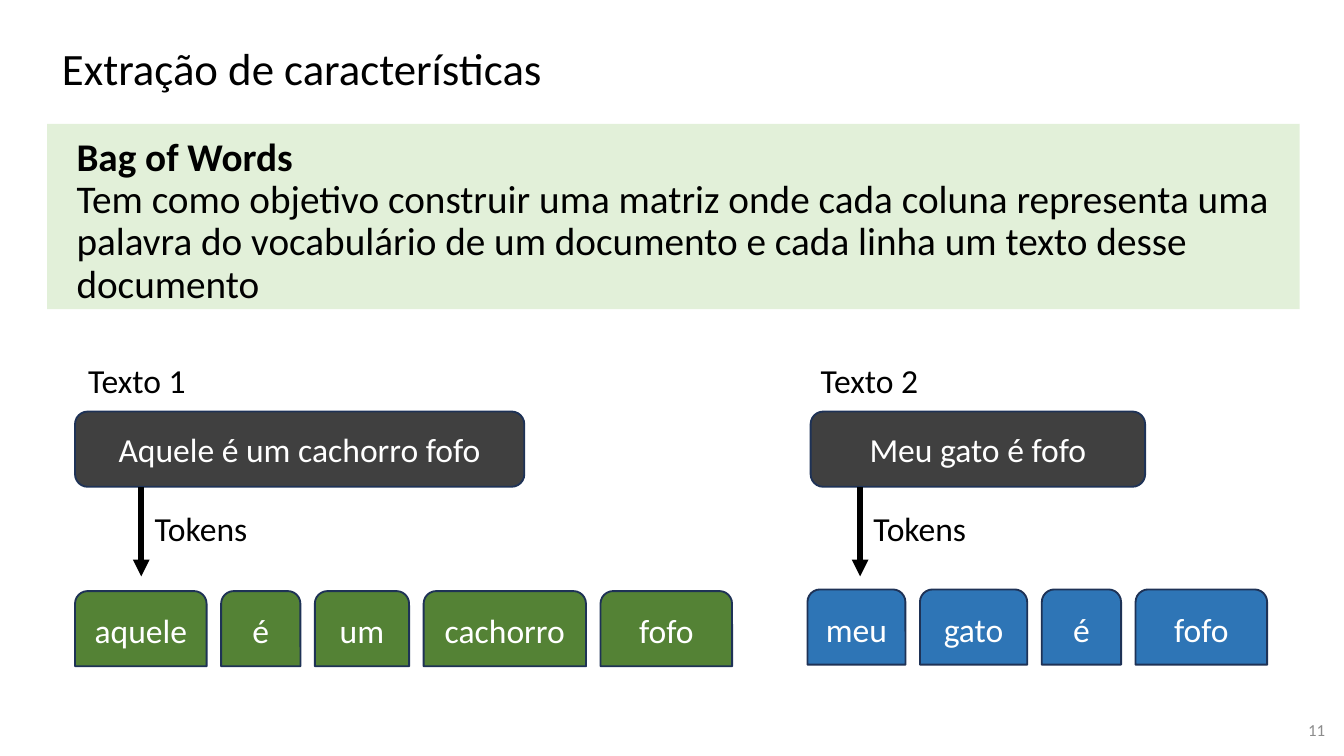
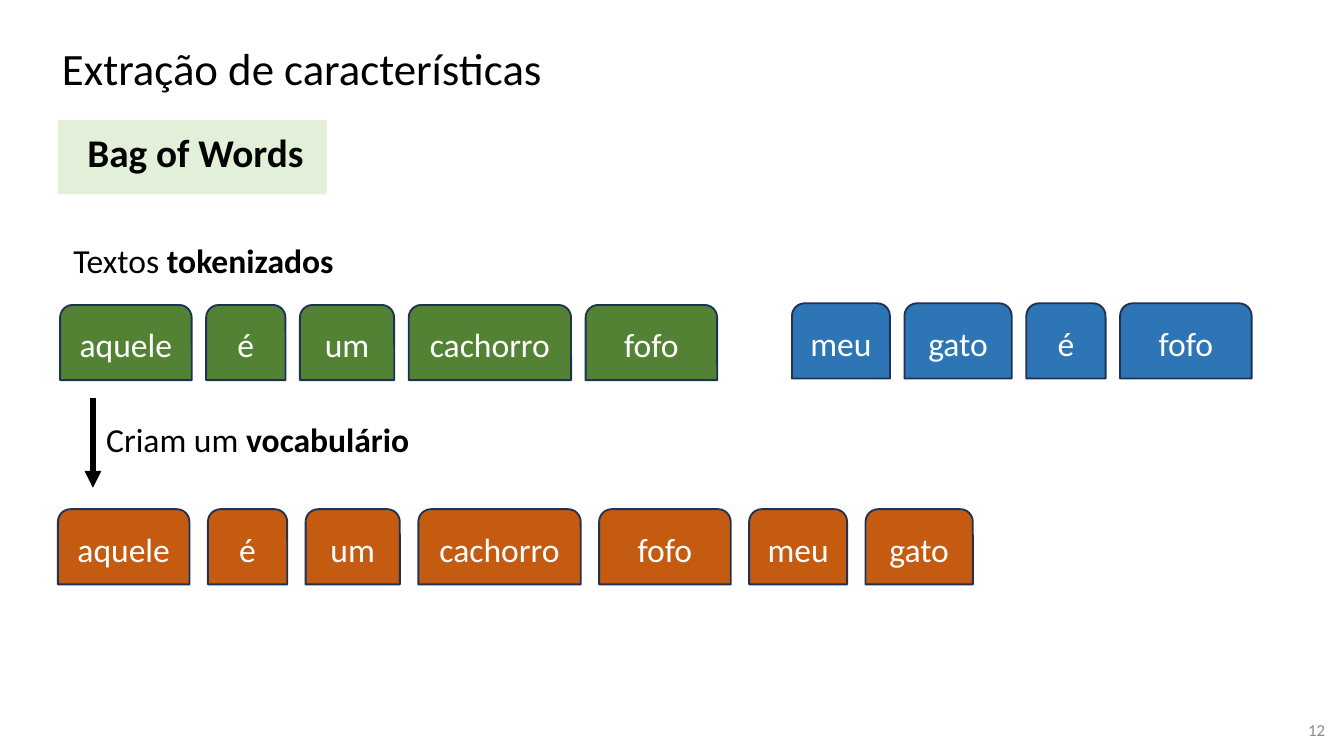
"""Builds two slides on the bag-of-words representation of tokenised texts."""
import pptx
import pptx.dml.color
import pptx.enum.shapes
import pptx.enum.text
import pptx.oxml.ns
import pptx.util
from lxml import etree

Pt = pptx.util.Pt
SHAPES = pptx.enum.shapes.MSO_SHAPE
ALIGN = pptx.enum.text.PP_ALIGN
ANCHOR = pptx.enum.text.MSO_ANCHOR
FONT = "Calibri"
COLORS = {
    "ink": "000000", "paper": "FFFFFF", "number": "8C8C8C", "band": "E2F0D9",
    "sentence": "404040", "outline": "1E3256",
    "first": "548235", "second": "2E75B6", "vocabulary": "C55A11",
}
TOKEN_WIDTHS = {
    "aquele": 70.5, "é": 42.5, "um": 50.5, "cachorro": 87,
    "fofo": 70.5, "meu": 52.5, "gato": 57.5,
}
BOX_HEIGHT = 40.3
FIRST_TOKENS = ["aquele", "é", "um", "cachorro", "fofo"]
SECOND_TOKENS = ["meu", "gato", "é", "fofo"]
HEADING = [("Bag of Words", True)]
DEFINITION = [("Tem como objetivo construir uma matriz onde cada coluna representa uma "
               "palavra do vocabulário de um documento e cada linha um texto desse "
               "documento", False)]


def rgb(name):
    return pptx.dml.color.RGBColor.from_string(COLORS[name])


def place(shape, left, top, width, height):
    shape.left, shape.top = Pt(left), Pt(top)
    shape.width, shape.height = Pt(width), Pt(height)


def set_margins(frame, margin):
    frame.margin_left = frame.margin_right = Pt(margin)
    frame.margin_top = frame.margin_bottom = Pt(margin)


def write(para, spans, size, color="ink", align=ALIGN.LEFT):
    para.alignment = align
    para.font.name = FONT
    para.font.size = Pt(size)
    para.font.color.rgb = rgb(color)
    for text, bold in spans:
        span = para.add_run()
        span.text = text
        span.font.bold = bold


def add_label(page, spans, left, top, width):
    box = page.shapes.add_textbox(Pt(left), Pt(top), Pt(width), Pt(29))
    box.text_frame.word_wrap = False
    write(box.text_frame.paragraphs[0], spans, 18)


def add_box(page, preset, text, left, top, width, fill):
    box = page.shapes.add_shape(preset, Pt(left), Pt(top), Pt(width), Pt(BOX_HEIGHT))
    box.shadow.inherit = False
    box.fill.solid()
    box.fill.fore_color.rgb = rgb(fill)
    box.line.color.rgb = rgb("outline")
    box.line.width = Pt(1)
    box.text_frame.vertical_anchor = ANCHOR.MIDDLE
    write(box.text_frame.paragraphs[0], [(text, False)], 18, "paper", ALIGN.CENTER)


def add_tokens(page, tokens, left, top, fill, gap=7.75):
    for token in tokens:
        width = TOKEN_WIDTHS[token]
        add_box(page, SHAPES.ROUND_2_SAME_RECTANGLE, token, left, top, width, fill)
        left += width + gap


def add_arrow(page, left, top):
    arrow = page.shapes.add_connector(
        pptx.enum.shapes.MSO_CONNECTOR.STRAIGHT,
        Pt(left), Pt(top), Pt(left), Pt(top + 48))
    arrow.line.color.rgb = rgb("ink")
    arrow.line.width = Pt(3)
    tail = etree.SubElement(arrow.line._get_or_add_ln(), pptx.oxml.ns.qn("a:tailEnd"))
    tail.set("type", "triangle")
    etree.SubElement(arrow._element.spPr, pptx.oxml.ns.qn("a:effectLst"))


def add_step(page, spans, left, top, width):
    add_arrow(page, left, top)
    add_label(page, spans, left, top + 7.5, width)


def fill_band(body, paragraphs, bounds):
    place(body, *bounds)
    body.fill.solid()
    body.fill.fore_color.rgb = rgb("band")
    frame = body.text_frame
    frame.auto_size = pptx.enum.text.MSO_AUTO_SIZE.NONE
    frame.vertical_anchor = ANCHOR.TOP
    set_margins(frame, 7.2)
    for index, spans in enumerate(paragraphs):
        para = frame.add_paragraph() if index else frame.paragraphs[0]
        para.line_spacing = 0.9
        para.space_before = Pt(0)
        properties = para._p.get_or_add_pPr()
        properties.set("marL", str(Pt(8.6)))
        properties.set("indent", "0")
        etree.SubElement(properties, pptx.oxml.ns.qn("a:buNone"))
        write(para, spans, 21)


def add_page(deck, number, paragraphs, band_bounds):
    page = deck.slides.add_slide(deck.slide_layouts[1])
    title = page.shapes.title
    place(title, 26, 10, 551, 56)
    title.text_frame.auto_size = pptx.enum.text.MSO_AUTO_SIZE.NONE
    title.text_frame.vertical_anchor = ANCHOR.MIDDLE
    set_margins(title.text_frame, 7.2)
    heading = title.text_frame.paragraphs[0]
    heading.line_spacing = 0.9
    write(heading, [("Extração de características", False)], 24)
    fill_band(page.placeholders[1], paragraphs, band_bounds)
    box = page.shapes.add_textbox(Pt(674), Pt(380), Pt(43), Pt(25))
    box.text_frame.word_wrap = True
    set_margins(box.text_frame, 7.2)
    write(box.text_frame.paragraphs[0], [(str(number), False)], 9, "number", ALIGN.RIGHT)
    return page


def add_text_example(page, name, sentence, label_left, box_left, width, arrow_left):
    add_label(page, [(name, False)], label_left, 189.5, 67)
    add_box(page, SHAPES.ROUNDED_RECTANGLE, sentence, box_left, 220.5, width, "sentence")
    add_step(page, [("Tokens", False)], arrow_left, 260.8, 65)


def build_tokens_page(deck):
    page = add_page(deck, 11, [HEADING, DEFINITION], (25.2, 66.4, 671, 99.2))
    add_text_example(page, "Texto 1", "Aquele é um cachorro fofo", 40.2, 40.2, 240.7, 75.7)
    add_text_example(page, "Texto 2", "Meu gato é fofo", 432.6, 434.3, 179.2, 460.8)
    add_tokens(page, FIRST_TOKENS, 40.2, 316.7, "first")
    add_tokens(page, SECOND_TOKENS, 432.6, 315.8, "second")


def build_vocabulary_page(deck):
    page = add_page(deck, 12, [HEADING], (31, 64.2, 144, 40))
    add_label(page, [("Textos ", False), ("tokenizados", True)], 32.2, 124.9, 155)
    add_tokens(page, FIRST_TOKENS, 32.2, 163.4, "first")
    add_tokens(page, SECOND_TOKENS, 424.3, 162.5, "second")
    add_step(page, [("Criam um ", False), ("vocabulário", True)], 49.8, 213.3, 181)
    vocabulary = list(dict.fromkeys(FIRST_TOKENS + SECOND_TOKENS))
    add_tokens(page, vocabulary, 31, 272.8, "vocabulary", 9.87)


def main():
    deck = pptx.Presentation()
    deck.slide_width, deck.slide_height = Pt(720), Pt(405)
    build_tokens_page(deck)
    build_vocabulary_page(deck)
    deck.save("out.pptx")


if __name__ == "__main__":
    main()
